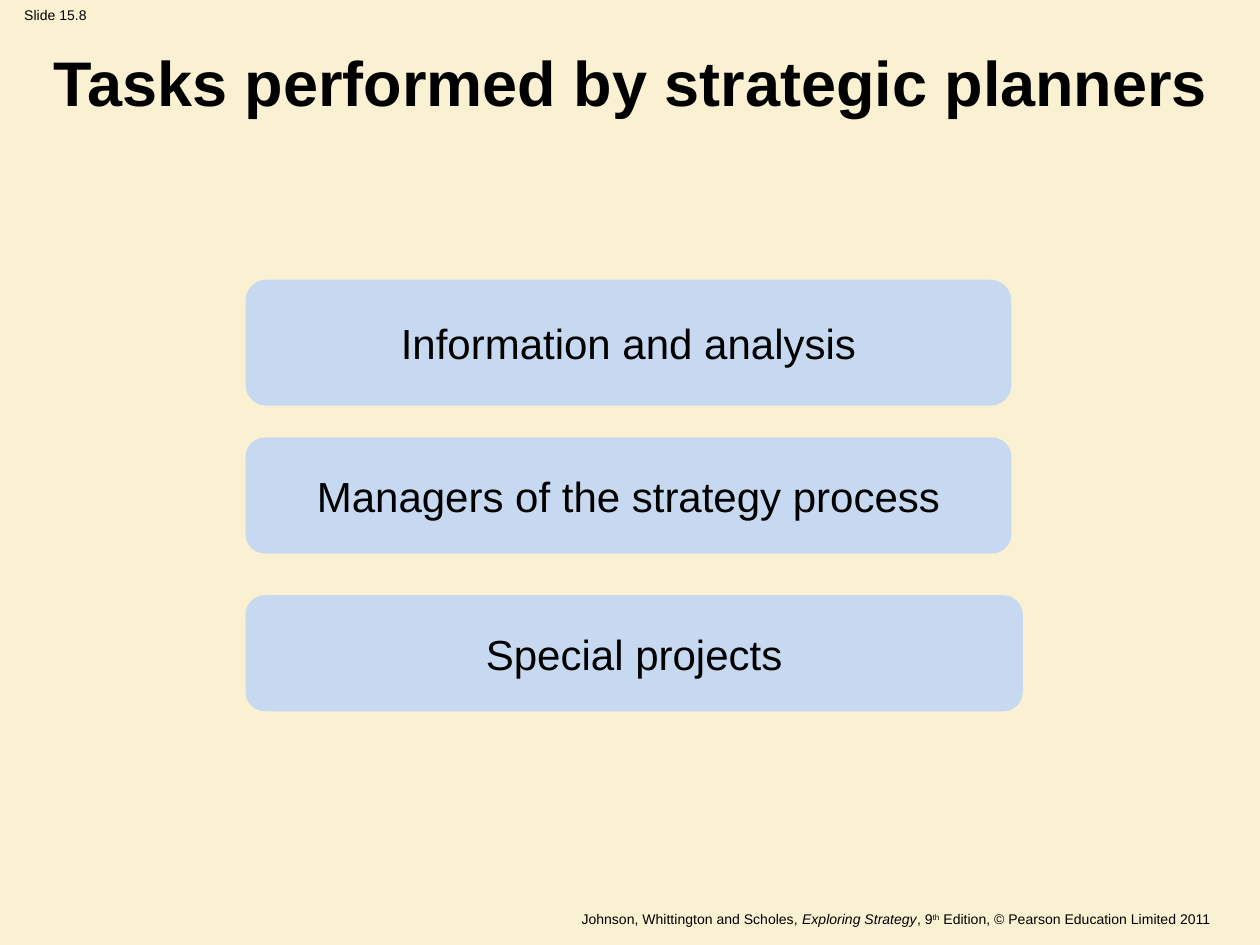
from typing import NamedTuple

from pptx import Presentation
from pptx.dml.color import RGBColor
from pptx.enum.shapes import MSO_SHAPE
from pptx.enum.text import MSO_ANCHOR, PP_ALIGN
from pptx.util import Cm, Pt

ROUNDED = MSO_SHAPE.ROUNDED_RECTANGLE
MIDDLE = MSO_ANCHOR.MIDDLE
CENTER, RIGHT = PP_ALIGN.CENTER, PP_ALIGN.RIGHT

CREAM = RGBColor(0xFA, 0xF0, 0xD2)
PALE_BLUE = RGBColor(0xC6, 0xD9, 0xF1)
BLACK = RGBColor(0x00, 0x00, 0x00)
FONT = "Arial"

TASK_LEFT, TASK_TOP, TASK_PITCH = 4.95, 5.64, 3.18


class Task(NamedTuple):
    text: str
    width: float
    height: float


TASKS = [
    Task("Information and analysis", 15.44, 2.54),
    Task("Managers of the strategy process", 15.44, 2.34),
    Task("Special projects", 15.67, 2.34),
]


def add_run(p, text: str, size: float, bold: bool = False, italic: bool = False):
    r = p.add_run()
    r.text = text
    r.font.name = FONT
    r.font.size = Pt(size)
    r.font.bold = bold
    r.font.italic = italic
    r.font.color.rgb = BLACK
    return r


def add_label(s, left: float, top: float, width: float, height: float,
              align: PP_ALIGN, wrap: bool):
    """Add an empty text box and return its first paragraph."""
    tf = s.shapes.add_textbox(Cm(left), Cm(top), Cm(width), Cm(height)).text_frame
    tf.word_wrap = wrap
    p = tf.paragraphs[0]
    p.alignment = align
    return p


def add_title(s, text: str) -> None:
    title = s.shapes.title
    title.left, title.top = Cm(0.51), Cm(0.74)
    title.width, title.height = Cm(24.41), Cm(1.78)
    tf = title.text_frame
    tf.margin_left = tf.margin_right = tf.margin_top = tf.margin_bottom = 0
    tf.vertical_anchor = MIDDLE
    p = tf.paragraphs[0]
    p.alignment = CENTER
    add_run(p, text, 36, bold=True)


def add_task(s, task: Task, top: float) -> None:
    sp = s.shapes.add_shape(ROUNDED, Cm(TASK_LEFT), Cm(top),
                            Cm(task.width), Cm(task.height))
    sp.shadow.inherit = False
    sp.fill.solid()
    sp.fill.fore_color.rgb = PALE_BLUE
    sp.line.fill.background()
    tf = sp.text_frame
    tf.word_wrap = False
    tf.vertical_anchor = MIDDLE
    p = tf.paragraphs[0]
    p.alignment = CENTER
    add_run(p, task.text, 24)


def add_footer(s) -> None:
    p = add_label(s, 0.66, 18.24, 24, 0.53, RIGHT, wrap=True)
    add_run(p, "Johnson, Whittington and Scholes, ", 8)
    add_run(p, "Exploring Strategy", 8, italic=True)
    add_run(p, ", 9", 8)
    ordinal = add_run(p, "th", 8)
    ordinal._r.get_or_add_rPr().set("baseline", "30000")
    add_run(p, " Edition, © Pearson Education Limited 2011", 8)


def main() -> None:
    prs = Presentation()
    prs.slide_width, prs.slide_height = Cm(25.4), Cm(19.05)
    s = prs.slides.add_slide(prs.slide_layouts[5])
    s.background.fill.solid()
    s.background.fill.fore_color.rgb = CREAM

    add_run(add_label(s, 0, 0, 2.24, 0.61, CENTER, wrap=False), "Slide 15.8", 8)
    add_footer(s)
    add_title(s, "Tasks performed by strategic planners")
    for i, task in enumerate(TASKS):
        add_task(s, task, TASK_TOP + i * TASK_PITCH)

    prs.save("out.pptx")


if __name__ == "__main__":
    main()
